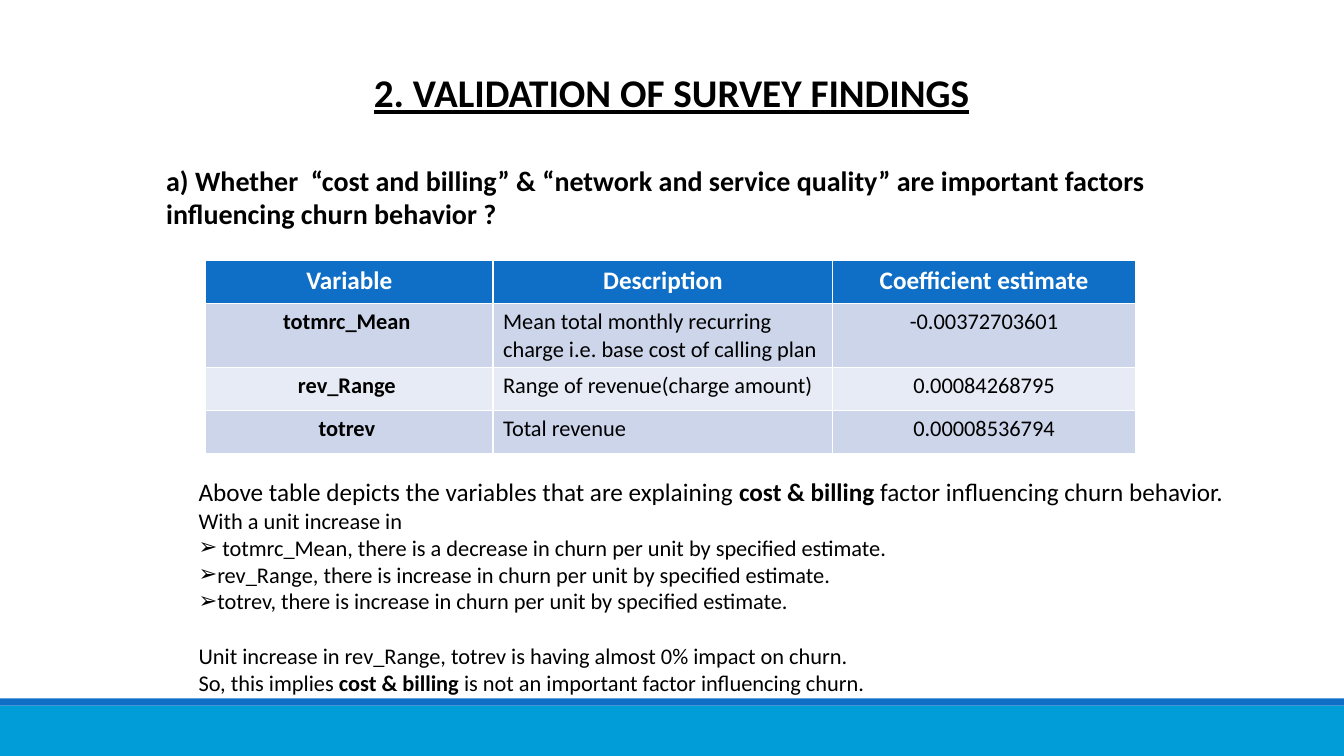
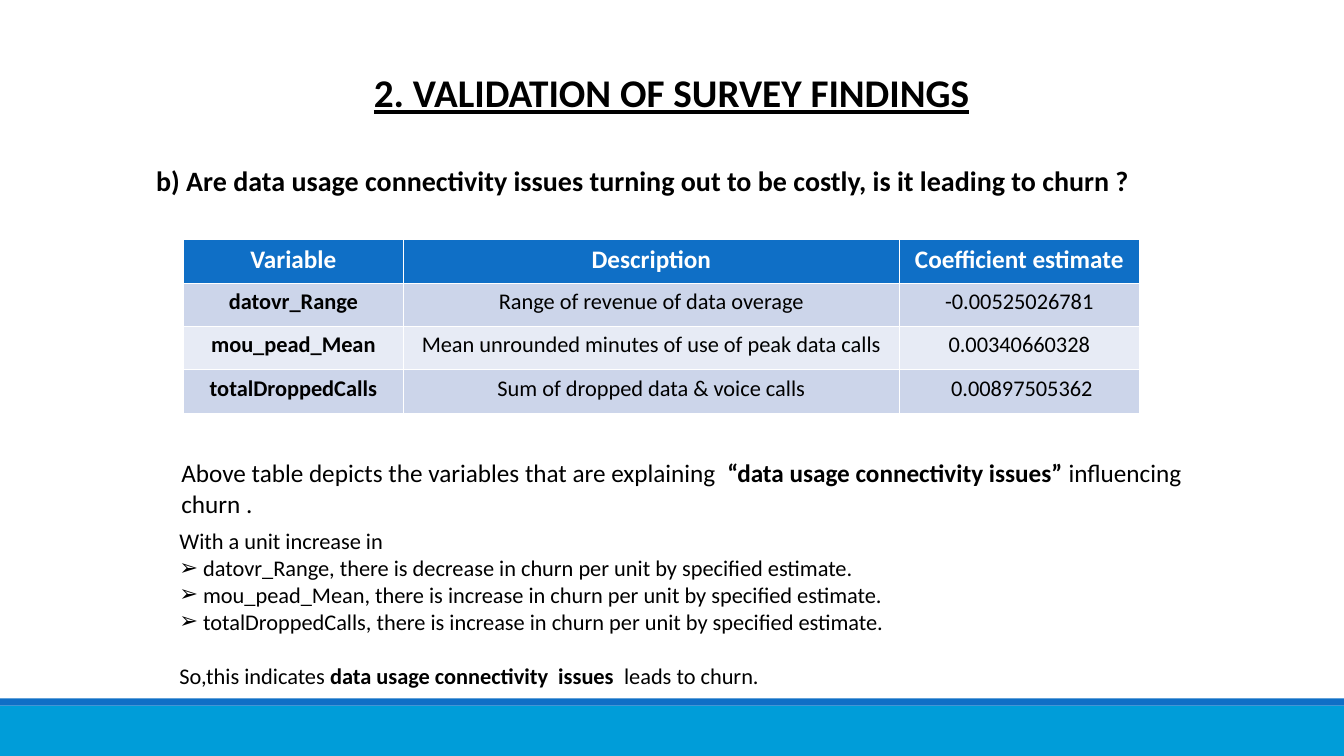
from lxml.etree import SubElement
from pptx import Presentation
from pptx.dml.color import RGBColor
from pptx.enum.shapes import MSO_SHAPE
from pptx.enum.text import MSO_ANCHOR, MSO_AUTO_SIZE, PP_ALIGN
from pptx.oxml.ns import qn
from pptx.util import Inches, Pt

FONT = "Calibri"
BLACK = RGBColor(0x00, 0x00, 0x00)
WHITE = RGBColor(0xFF, 0xFF, 0xFF)
BLUE = RGBColor(0x0F, 0x6F, 0xC6)
CYAN = RGBColor(0x00, 0x9D, 0xD9)
ROW_FILLS = (RGBColor(0xCC, 0xD5, 0xEA), RGBColor(0xE7, 0xEB, 0xF5))
SLIDE_WIDTH = 13.33
TEXT_WIDTH = 10.56
ROW_HEIGHT = 0.43
LINE_GAP = Pt(19.5)
BULLET = "\u27a2"
TITLE = "2. VALIDATION OF SURVEY FINDINGS"
HEADER = ("Variable", "Description", "Coefficient estimate")


def place(shape, left, top, width, height):
    """Move a shape to a box given in inches."""
    shape.left, shape.top = Inches(left), Inches(top)
    shape.width, shape.height = Inches(width), Inches(height)


def write(paragraph, text, size, color=BLACK, bold=False, align=PP_ALIGN.LEFT):
    """Write text into a paragraph, with parts between ** in bold."""
    for index, part in enumerate(text.split("**")):
        run = paragraph.add_run()
        run.text = part
        if index % 2:
            run.font.bold = True
    paragraph.alignment = align
    font = paragraph.font
    font.name, font.size, font.bold = FONT, Pt(size), bold
    font.color.rgb = color


def set_bullet(paragraph, character):
    """Set the bullet of a paragraph, or remove it when there is no character."""
    properties = paragraph._p.get_or_add_pPr()
    properties.set("marL", "0")
    properties.set("indent", "0")
    if character:
        SubElement(properties, qn("a:buChar")).set("char", character)
    else:
        SubElement(properties, qn("a:buNone"))


def add_band(slide, top, height, color):
    """Add a full-width band to the master behind the slide."""
    band = slide.shapes.add_shape(MSO_SHAPE.RECTANGLE, 0, Inches(top),
                                  Inches(SLIDE_WIDTH), Inches(height))
    band.shadow.inherit = False
    band.fill.solid()
    band.fill.fore_color.rgb = color
    band.line.fill.background()
    slide.slide_layout.slide_master.element.cSld.spTree.append(band.element)


def fill_title(slide):
    """Place the shared underlined title."""
    title = slide.shapes.title
    place(title, 1.38, 0.63, TEXT_WIDTH, 0.57)
    frame = title.text_frame
    frame.auto_size = MSO_AUTO_SIZE.NONE
    frame.vertical_anchor = MSO_ANCHOR.TOP
    paragraph = frame.paragraphs[0]
    write(paragraph, TITLE, 28, bold=True, align=PP_ALIGN.CENTER)
    paragraph.font.underline = True


def add_text(slide, left, top, height, text, size, bold=False):
    """Add a wrapped one-paragraph text box."""
    box = slide.shapes.add_textbox(Inches(left), Inches(top),
                                   Inches(TEXT_WIDTH), Inches(height))
    box.text_frame.word_wrap = True
    write(box.text_frame.paragraphs[0], text, size, bold=bold)


def add_estimates(slide, left, top, widths, rows, description_align):
    """Add the table of coefficient estimates."""
    lines = (HEADER, *rows)
    table = slide.shapes.add_table(len(lines), len(widths), Inches(left), Inches(top),
                                   Inches(sum(widths)),
                                   Inches(ROW_HEIGHT * len(lines))).table
    for column, width in zip(table.columns, widths):
        column.width = Inches(width)
    for row_index, line in enumerate(lines):
        is_header = row_index == 0
        fill = BLUE if is_header else ROW_FILLS[(row_index - 1) % 2]
        for column_index, text in enumerate(line):
            cell = table.cell(row_index, column_index)
            cell.fill.solid()
            cell.fill.fore_color.rgb = fill
            is_description = column_index == 1 and not is_header
            write(cell.text_frame.paragraphs[0], text,
                  size=18 if is_header else 16,
                  color=WHITE if is_header else BLACK,
                  bold=is_header or column_index == 0,
                  align=description_align if is_description else PP_ALIGN.CENTER)


def fill_explanation(slide, left, top, height, lead, effects, conclusions):
    """Fill the body with a lead, the bulleted effects and the conclusions."""
    body = slide.placeholders[1]
    place(body, left, top, TEXT_WIDTH, height)
    frame = body.text_frame
    frame.auto_size = MSO_AUTO_SIZE.NONE
    lines = [(text, 18, None, 0) for text in lead]
    lines.append(("With a unit increase in", 16, None, 0))
    lines += [(text, 16, BULLET, 0) for text in effects]
    lines += [(text, 16, None, 0 if index else LINE_GAP)
              for index, text in enumerate(conclusions)]
    for index, (text, size, bullet, gap) in enumerate(lines):
        paragraph = frame.add_paragraph() if index else frame.paragraphs[0]
        set_bullet(paragraph, bullet)
        paragraph.space_before = gap
        write(paragraph, text, size)


def build_cost_slide(slide):
    """Build the slide on cost and billing."""
    fill_title(slide)
    add_text(slide, 1.55, 1.57, 0.77,
             "a) Whether  “cost and billing” & “network and service quality” are "
             "important factors influencing churn behavior ? ", 20, bold=True)
    add_estimates(slide, 2.04, 2.58, (2.85, 3.37, 3), (
        ("totmrc_Mean ",
         "Mean total monthly recurring charge i.e. base cost of calling plan",
         "-0.00372703601"),
        ("rev_Range ", "Range of revenue(charge amount)", "0.00084268795"),
        ("totrev ", "Total revenue", "0.00008536794"),
    ), PP_ALIGN.LEFT)
    fill_explanation(
        slide, 1.87, 4.68, 2.29,
        ["Above table depicts the variables that are explaining **cost & billing **"
         "factor influencing churn behavior."],
        [" totmrc_Mean, there is a decrease in churn per unit by specified estimate.",
         "rev_Range, there is increase in churn per unit by specified estimate.",
         "totrev, there is increase in churn per unit by specified estimate."],
        ["Unit increase in rev_Range, totrev is having almost 0% impact on churn.",
         "So, this implies **cost & billing **is not an important factor "
         "influencing churn."])


def build_data_slide(slide):
    """Build the slide on data usage connectivity."""
    fill_title(slide)
    add_text(slide, 1.45, 1.57, 0.44,
             "b) Are data usage connectivity issues turning out to be costly, "
             "is it leading to churn ?", 20, bold=True)
    add_estimates(slide, 1.82, 2.38, (2.18, 4.92, 2.38), (
        ("datovr_Range", "Range of revenue of data overage", "-0.00525026781"),
        ("mou_pead_Mean", "Mean unrounded minutes of use of peak data calls",
         "0.00340660328"),
        ("totalDroppedCalls", "Sum of dropped data & voice calls", " 0.00897505362"),
    ), PP_ALIGN.CENTER)
    add_text(slide, 1.7, 4.49, 0.71,
             "Above table depicts the variables that are explaining  "
             "**“data usage connectivity issues” **influencing churn . ", 18)
    fill_explanation(
        slide, 1.68, 5.18, 2.32, [],
        [f" {variable}, there is {change} in churn per unit by specified estimate."
         for variable, change in (("datovr_Range", "decrease"),
                                  ("mou_pead_Mean", "increase"),
                                  ("totalDroppedCalls", "increase"))],
        ["So,this indicates **data usage connectivity  issues  **leads to churn."])


def main():
    """Build and save the presentation."""
    presentation = Presentation()
    presentation.slide_width = Inches(SLIDE_WIDTH)
    presentation.slide_height = Inches(7.5)
    layout = presentation.slide_layouts[1]
    cost_slide, data_slide = (presentation.slides.add_slide(layout) for _ in range(2))
    add_band(cost_slide, 7, 0.5, CYAN)
    add_band(cost_slide, 6.93, 0.07, BLUE)
    build_cost_slide(cost_slide)
    build_data_slide(data_slide)
    presentation.save("out.pptx")


main()
